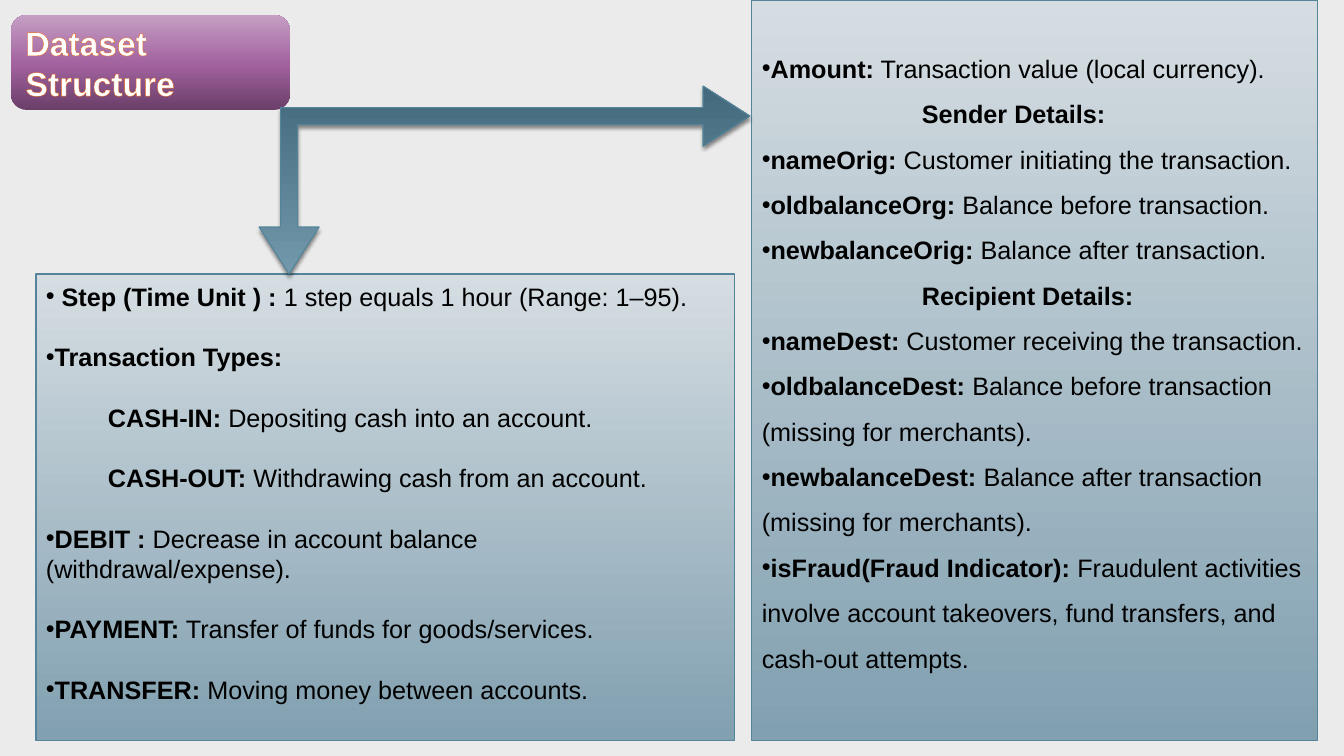
from lxml import etree
from pptx import Presentation
from pptx.dml.color import RGBColor
from pptx.enum.shapes import MSO_SHAPE
from pptx.enum.text import MSO_ANCHOR, PP_ALIGN
from pptx.oxml import parse_xml
from pptx.oxml.ns import nsdecls, qn
from pptx.util import Pt

RECT, ROUND, ARROW = MSO_SHAPE.RECTANGLE, MSO_SHAPE.ROUNDED_RECTANGLE, MSO_SHAPE.LEFT_UP_ARROW
TOP, MIDDLE, LEFT = MSO_ANCHOR.TOP, MSO_ANCHOR.MIDDLE, PP_ALIGN.LEFT

PAPER = RGBColor(0xEB, 0xEB, 0xEB)
BLACK = RGBColor(0, 0, 0)
WHITE = RGBColor(0xFF, 0xFF, 0xFF)
ORANGE = RGBColor(0xEA, 0x63, 0x12)
EDGE = RGBColor(0x54, 0x84, 0x9A)
PALE = RGBColor(0xD5, 0xDD, 0xE2)
STEEL = RGBColor(0x81, 0xA0, 0xB0)
SKY = RGBColor(0x71, 0x98, 0xAB)
TEAL = RGBColor(0x43, 0x6A, 0x7C)
PLUM = RGBColor(0x6A, 0x3F, 0x68)
GRAPE = RGBColor(0xA2, 0x62, 0x9F)
LILAC = RGBColor(0xC5, 0x9E, 0xC3)

FONT = "Arial"
PX = 9071
DOWN, UP = 270, 90
TITLE = "Dataset Structure"

TYPES = [
    (True, " Step (Time Unit ) : ", "1 step equals 1 hour (Range: 1–95)."),
    (True, "Transaction Types:", ""),
    (False, "CASH-IN:", " Depositing cash into an account."),
    (False, "CASH-OUT:", " Withdrawing cash from an account."),
    (True, "DEBIT :", " Decrease in account balance (withdrawal/expense)."),
    (True, "PAYMENT:", " Transfer of funds for goods/services."),
    (True, "TRANSFER:", " Moving money between accounts."),
]
FIELDS = [
    (True, "Amount:", " Transaction value (local currency)."),
    (False, "Sender Details:", ""),
    (True, "nameOrig:", " Customer initiating the transaction."),
    (True, "oldbalanceOrg:", " Balance before transaction."),
    (True, "newbalanceOrig:", " Balance after transaction."),
    (False, "Recipient Details:", ""),
    (True, "nameDest:", " Customer receiving the transaction."),
    (True, "oldbalanceDest:", " Balance before transaction (missing for merchants)."),
    (True, "newbalanceDest:", " Balance after transaction (missing for merchants)."),
    (True, "isFraud(Fraud Indicator): ",
     "Fraudulent activities involve account takeovers, fund transfers, and cash-out attempts."),
]
PANELS = [
    {"box": (36, 274, 699, 467), "rows": TYPES, "top": 7, "indent": 62, "pitch": 21.6, "gap": 21.6},
    {"box": (752, 0, 566, 741), "rows": FIELDS, "top": 38, "indent": 160, "pitch": 32.4, "gap": 0},
]


def block(slide, kind, box, stops, angle, edge=None):
    shape = slide.shapes.add_shape(kind, *(n * PX for n in box))
    shape.shadow.inherit = False
    shape.fill.gradient()
    shape.fill.gradient_angle = angle
    ramp = shape._element.spPr.find(qn("a:gradFill")).find(qn("a:gsLst"))
    for stop in list(ramp):
        ramp.remove(stop)
    for pos, color in stops:
        stop = etree.SubElement(ramp, qn("a:gs"), pos=str(pos * 1000))
        etree.SubElement(stop, qn("a:srgbClr"), val=str(color))
    if edge is None:
        shape.line.fill.background()
    else:
        shape.line.color.rgb = edge
        shape.line.width = Pt(0.75)
    return shape


def style(run, size, color, bold):
    font = run.font
    font.name, font.size, font.bold = FONT, Pt(size), bold
    font.color.rgb = color


def panel(slide, box, rows, top, indent, pitch, gap):
    shape = block(slide, RECT, box, [(0, PALE), (100, STEEL)], DOWN, EDGE)
    frame = shape.text_frame
    frame.word_wrap = True
    frame.vertical_anchor = TOP
    frame.margin_top = top * PX
    for i, (dot, head, body) in enumerate(rows):
        para = frame.add_paragraph() if i else frame.paragraphs[0]
        para.alignment = LEFT
        para.line_spacing = Pt(pitch)
        para.space_before = Pt(gap if i else 0)
        props = para._p.get_or_add_pPr()
        props.set("marL", str(0 if dot else indent * PX))
        props.set("indent", "0")
        if dot:
            etree.SubElement(props, qn("a:buFont"), typeface=FONT)
            etree.SubElement(props, qn("a:buChar"), char="•")
        for text, bold in ((head, True), (body, False)):
            if text:
                run = para.add_run()
                run.text = text
                style(run, 18, BLACK, bold)


def title(slide):
    shape = block(slide, ROUND, (11, 15, 279, 95), [(0, PLUM), (48, GRAPE), (100, LILAC)], UP)
    frame = shape.text_frame
    frame.word_wrap = True
    frame.vertical_anchor = MIDDLE
    frame.text = TITLE
    para = frame.paragraphs[0]
    para.alignment = LEFT
    para.line_spacing = Pt(28.8)
    run = para.runs[0]
    style(run, 24, WHITE, True)
    run.font._element.insert(0, parse_xml(
        f'<a:ln {nsdecls("a")} w="6600"><a:solidFill><a:srgbClr val="{ORANGE}"/></a:solidFill></a:ln>'))


def arrow(slide):
    shape = block(slide, ARROW, (259, 86, 491, 188), [(0, SKY), (100, TEAL)], DOWN, EDGE)
    shape.rotation = 180
    for i, part in enumerate((0.09, 0.16, 0.25)):
        shape.adjustments[i] = part
    glow = shape._element.spPr.find(qn("a:effectLst"))
    glow.append(parse_xml(
        f'<a:outerShdw {nsdecls("a")} blurRad="{Pt(3)}" dist="{Pt(2)}" dir="5400000" rotWithShape="0">'
        f'<a:srgbClr val="{BLACK}"><a:alpha val="45000"/></a:srgbClr></a:outerShdw>'))


def main():
    deck = Presentation()
    deck.slide_width, deck.slide_height = 1344 * PX, 756 * PX
    slide = deck.slides.add_slide(deck.slide_layouts[6])
    slide.background.fill.solid()
    slide.background.fill.fore_color.rgb = PAPER
    title(slide)
    for spec in PANELS:
        panel(slide, **spec)
    arrow(slide)
    deck.save("out.pptx")


if __name__ == "__main__":
    main()
